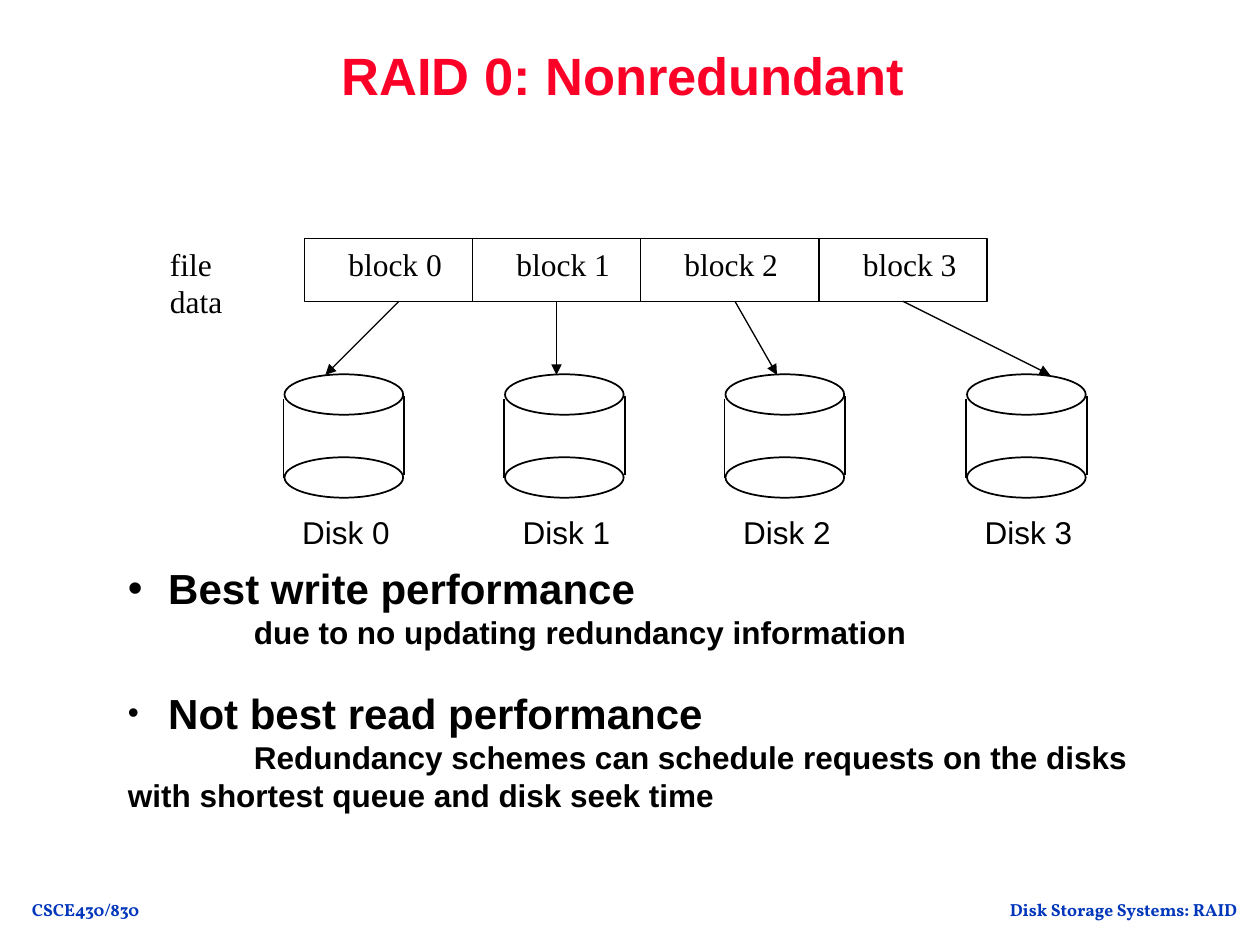
from pptx import Presentation
from pptx.dml.color import RGBColor
from pptx.enum.shapes import MSO_CONNECTOR as Link, MSO_SHAPE as Form
from pptx.enum.text import MSO_ANCHOR as Anchor, MSO_AUTO_SIZE as Fit, PP_ALIGN as Align
from pptx.oxml.ns import qn
from pptx.util import Inches, Pt
from lxml.etree import SubElement as Sub

BLACK, WHITE, RED, BLUE = "000000", "FFFFFF", "FC0128", "0237BC"
SERIF, SANS, FOOT = "Times New Roman", "Arial", "Vollkorn"
EDGES = [29, 45, 61, 78, 94]
DISKS = [27, 48, 69, 92]
STARTS = [38, 53, 70, 86]
ENDS = [31, 53, 74, 100]
TOP, BASE, TIP = 22.7, 28.7, 35.7
POINTS = [
    ("Best write performance", 100, "due to no updating redundancy information"),
    ("Not best read performance", 75,
     "Redundancy schemes can schedule requests on the disks with shortest queue and disk seek time"),
]


def grid(*cells):
    return [Inches(cell / 12) for cell in cells]


def color(code):
    return RGBColor.from_string(code)


def style(para, size, face=SANS, code=BLACK, bold=False):
    for run in para.runs:
        font = run.font
        font.size, font.name, font.bold = Pt(size), face, bold
        font.color.rgb = color(code)


def label(slide, text, box, size, face=SANS, code=BLACK, bold=False, wrap=False):
    frame = slide.shapes.add_textbox(*grid(*box)).text_frame
    frame.word_wrap = wrap
    frame.auto_size = Fit.NONE if wrap else Fit.SHAPE_TO_FIT_TEXT
    frame.text = text
    style(frame.paragraphs[0], size, face, code, bold)
    return frame


def shape(slide, form, box, width, fill=None):
    item = slide.shapes.add_shape(form, *grid(*box))
    item.shadow.inherit = False
    if fill:
        item.fill.solid()
        item.fill.fore_color.rgb = color(fill)
    else:
        item.fill.background()
    item.line.color.rgb = color(BLACK)
    item.line.width = Pt(width)


def line(slide, start, end, width=0.75, arrow=False):
    item = slide.shapes.add_connector(Link.STRAIGHT, *grid(*start, *end))
    item.line.color.rgb = color(BLACK)
    item.line.width = Pt(width)
    if arrow:
        Sub(item.line._get_or_add_ln(), qn("a:tailEnd"), type="triangle")
    Sub(item._element.spPr, qn("a:effectLst"))


def title(slide):
    frame = label(slide, "RAID 0: Nonredundant ", (13, 0, 94, 15), 30, SANS, RED, True, True)
    frame.vertical_anchor = Anchor.MIDDLE
    para = frame.paragraphs[0]
    para.alignment, para.line_spacing = Align.CENTER, 0.9


def blocks(slide):
    label(slide, "file data", (15, TOP, 12.1, 4.8), 18, SERIF)
    shape(slide, Form.RECTANGLE, (EDGES[0], TOP, EDGES[-1] - EDGES[0], BASE - TOP), 0.75)
    for edge in EDGES[1:-1]:
        line(slide, (edge, TOP), (edge, BASE))
    for num, edge in enumerate(EDGES[:-1]):
        label(slide, f"block {num}", (edge + 3, TOP, 11.3, 4.8), 18, SERIF)


def disk(slide, num, left):
    for top in (35.65, 43.55):
        shape(slide, Form.OVAL, (left + 0.1, top, 11.3, 3.85), 1, WHITE)
    for side, top in ((left, 38), (left + 11.5, 37.7)):
        line(slide, (side, top), (side, top + 7.5), 1)
    label(slide, f"Disk {num}", (left + 0.6, 48.25, 10.7, 4.8), 18)


def indent(para, left, first):
    props = para._p.get_or_add_pPr()
    props.set("marL", str(Inches(left)))
    props.set("indent", str(Inches(first)))
    return props


def points(slide):
    frame = label(slide, "", (11, 53, 104, 25.2), 18, wrap=True)
    for num, (head, share, note) in enumerate(POINTS):
        para = frame.add_paragraph() if num else frame.paragraphs[0]
        para.text = head
        para.space_before = Pt(21 * num)
        style(para, 24, bold=True)
        props = indent(para, 0.32, -0.32)
        Sub(Sub(props, qn("a:buClr")), qn("a:srgbClr"), val=BLACK)
        Sub(props, qn("a:buSzPct"), val=str(share * 1000))
        Sub(props, qn("a:buFont"), typeface=SANS)
        Sub(props, qn("a:buChar"), char="•")
        para = frame.add_paragraph()
        para.text = note
        style(para, 18, bold=True)
        indent(para, 0, 1)


def main():
    deck = Presentation()
    deck.slide_width, deck.slide_height = grid(120, 90)
    slide = deck.slides.add_slide(deck.slide_layouts[6])
    for text, left, width in (("Disk Storage Systems: RAID", 94.3, 25.4), ("CSCE430/830", 1.8, 12.7)):
        foot = label(slide, text, (left, 85, width, 3.1), 10, FOOT, BLUE, True)
        foot.paragraphs[0].alignment = Align.CENTER
    title(slide)
    blocks(slide)
    for start, end in zip(STARTS, ENDS):
        line(slide, (start, BASE), (end, TIP), arrow=True)
    for num, left in enumerate(DISKS):
        disk(slide, num, left)
    points(slide)
    deck.save("out.pptx")


if __name__ == "__main__":
    main()
